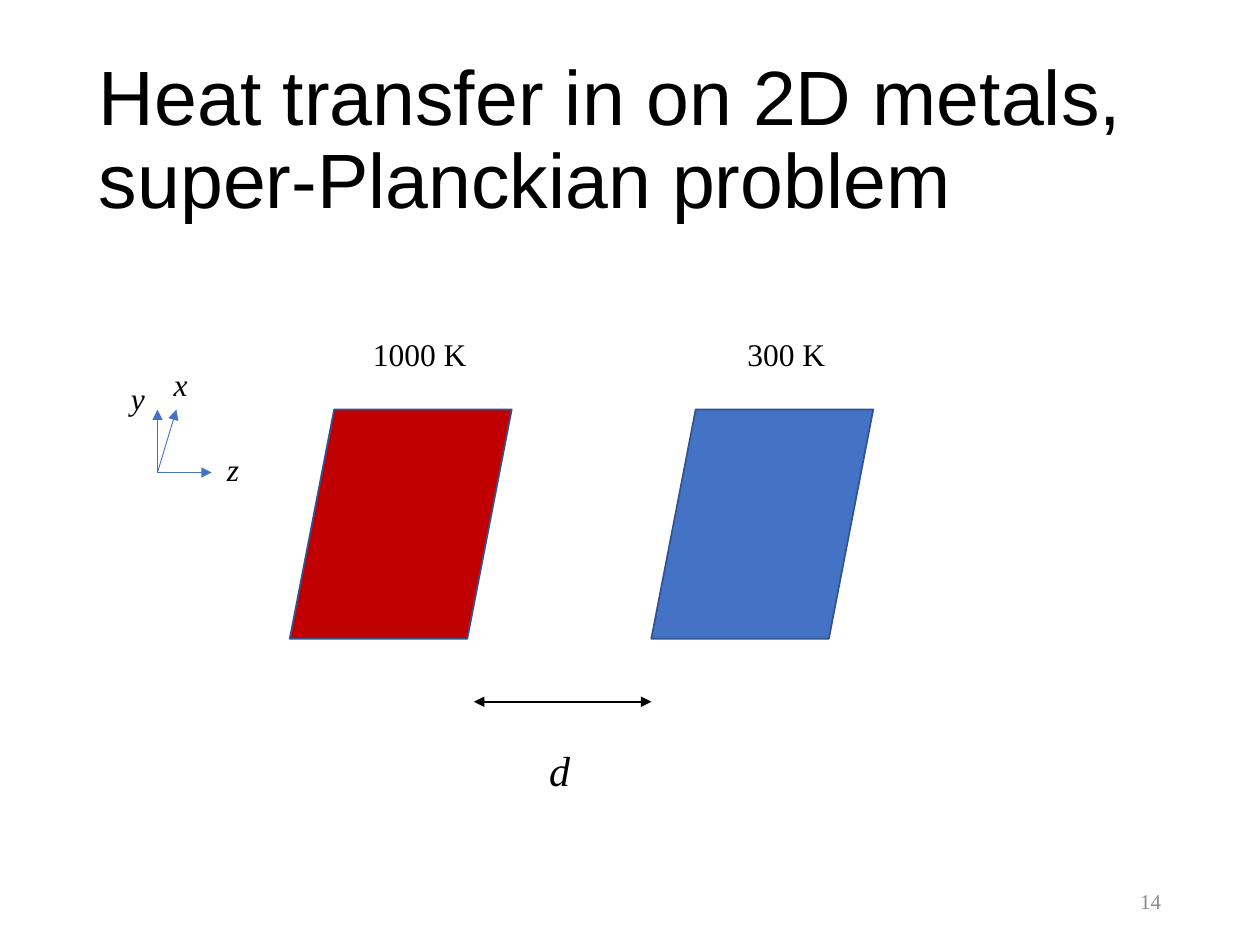
from typing import NamedTuple

from pptx import Presentation
from pptx.dml.color import RGBColor
from pptx.enum.shapes import MSO_CONNECTOR as Link, MSO_SHAPE as Shape
from pptx.enum.text import MSO_ANCHOR as Anchor, PP_ALIGN as Align
from pptx.oxml.ns import qn
from pptx.util import Pt
from lxml.etree import SubElement

BLACK = RGBColor(0x00, 0x00, 0x00)
GRAY = RGBColor(0x8C, 0x8C, 0x8C)
RED = RGBColor(0xC0, 0x00, 0x00)
BLUE = RGBColor(0x44, 0x72, 0xC4)
NAVY = RGBColor(0x32, 0x54, 0x91)
SANS, SERIF = "Arial", "Times New Roman"


class Plate(NamedTuple):
    left: float
    fill: RGBColor
    label: str
    label_left: float


class Axis(NamedTuple):
    name: str
    tip: tuple[float, float]
    label_at: tuple[float, float]


PLATE_TOP, PLATE_W, PLATE_H = 234, 126.8, 131
PLATES = [
    Plate(165.6, RED, "1000 K", 206),
    Plate(372.2, BLUE, "300 K", 420),
]
ORIGIN = (90, 270)
AXES = [
    Axis("y", (90, 234), (67.7, 213)),
    Axis("x", (100.8, 234), (92.2, 205)),
    Axis("z", (121, 270), (122.5, 253.5)),
]


def write(slide, text: str, left: float, top: float, width: float, height: float, *,
          size: float = 18, font: str = SERIF, color: RGBColor = BLACK,
          italic: bool = False, align=Align.LEFT, anchor=Anchor.TOP,
          space: float = 1.0) -> None:
    frame = slide.shapes.add_textbox(Pt(left), Pt(top), Pt(width), Pt(height)).text_frame
    frame.word_wrap = True
    frame.vertical_anchor = anchor
    para = frame.paragraphs[0]
    para.alignment = align
    para.line_spacing = space
    run = para.add_run()
    run.text = text
    run.font.size = Pt(size)
    run.font.name = font
    run.font.italic = italic
    run.font.color.rgb = color


def arrow(slide, start: tuple[float, float], end: tuple[float, float],
          color: RGBColor, width: float, both: bool = False) -> None:
    """Draw a line with a triangle at its end, or at both ends."""
    link = slide.shapes.add_connector(
        Link.STRAIGHT, *(Pt(v) for v in (*start, *end)))
    link.line.color.rgb = color
    link.line.width = Pt(width)
    line = link.line._get_or_add_ln()
    for tag in ("a:headEnd", "a:tailEnd") if both else ("a:tailEnd",):
        SubElement(line, qn(tag), type="triangle")
    SubElement(link._element.spPr, qn("a:effectLst"))


def draw_plate(slide, plate: Plate) -> None:
    shape = slide.shapes.add_shape(
        Shape.FLOWCHART_DATA, Pt(plate.left), Pt(PLATE_TOP), Pt(PLATE_W), Pt(PLATE_H))
    shape.shadow.inherit = False
    shape.fill.solid()
    shape.fill.fore_color.rgb = plate.fill
    shape.line.color.rgb = NAVY
    shape.line.width = Pt(1)
    write(slide, plate.label, plate.label_left, 188, 77, 29)


def draw_axis(slide, axis: Axis) -> None:
    arrow(slide, ORIGIN, axis.tip, BLUE, 0.5)
    write(slide, axis.name, *axis.label_at, 19, 29, italic=True)


def main() -> None:
    deck = Presentation()
    deck.slide_width, deck.slide_height = Pt(720), Pt(540)
    slide = deck.slides.add_slide(deck.slide_layouts[6])

    write(slide, "Heat transfer in on 2D metals, super-Planckian problem",
          49.5, 28.75, 621, 104.4, size=44, font=SANS, anchor=Anchor.MIDDLE, space=0.9)
    write(slide, "14", 508.5, 500.5, 162, 28.75, size=12, color=GRAY,
          align=Align.RIGHT, anchor=Anchor.MIDDLE)
    for plate in PLATES:
        draw_plate(slide, plate)
    arrow(slide, (270.8, 401), (PLATES[1].left, 401), BLACK, 1.25, both=True)
    write(slide, "d", 306.7, 422, 25, 36, size=24, italic=True)
    for axis in AXES:
        draw_axis(slide, axis)

    deck.save("out.pptx")


if __name__ == "__main__":
    main()
